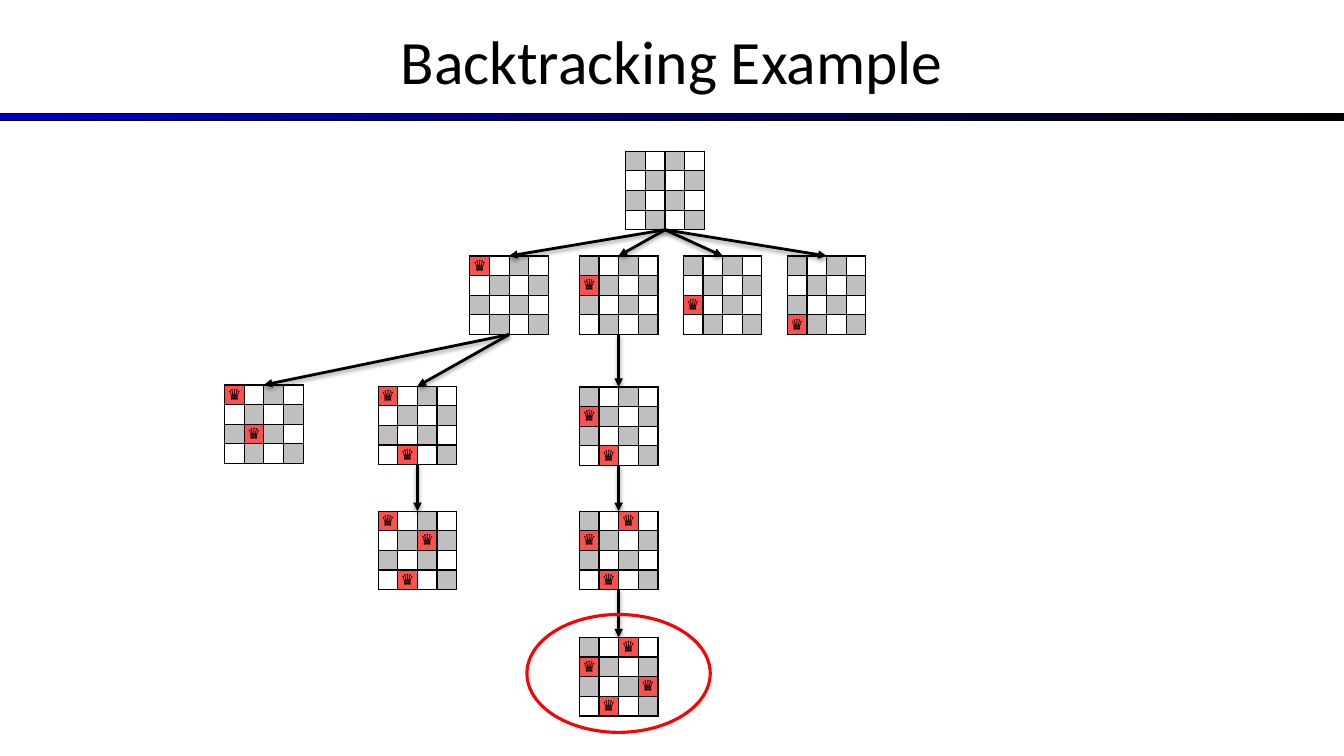
from lxml.etree import SubElement
from pptx import Presentation
from pptx.dml.color import RGBColor
from pptx.enum.shapes import MSO_CONNECTOR, MSO_SHAPE
from pptx.enum.text import MSO_ANCHOR, PP_ALIGN
from pptx.oxml import parse_xml
from pptx.oxml.ns import nsdecls, qn
from pptx.util import Cm, Pt

# Content: queens lists the row of the queen in each column, left to right
TITLE = "Backtracking Example"
QUEEN = "♛"
BOARDS = [  # left (cm), top (cm), queens, number of the parent board
    (15.77, 3.81, (), None),
    (11.84, 6.45, (0,), 0),
    (14.6, 6.45, (1,), 0),
    (17.22, 6.45, (2,), 0),
    (19.84, 6.45, (3,), 0),
    (5.66, 9.7, (0, 2), 1),
    (9.53, 9.73, (0, 3), 1),
    (14.6, 9.75, (1, 3), 2),
    (9.53, 12.88, (0, 3, 1), 6),
    (14.6, 12.88, (1, 3, 0), 7),
    (14.6, 16.06, (1, 3, 0, 2), 9),
]

SIZE = 4
BOARD_SIDE = 1.98
SOLUTION_WIDTH, SOLUTION_HEIGHT = 4.62, 2.97
BOTTOM, TOP = 2, 0

BLACK = RGBColor(0x00, 0x00, 0x00)
WHITE = RGBColor(0xFF, 0xFF, 0xFF)
GREY = RGBColor(0xBF, 0xBF, 0xBF)
QUEEN_RED = RGBColor(0xFF, 0x50, 0x50)
RING_RED = RGBColor(0xFF, 0x00, 0x00)
BLUE = RGBColor(0x00, 0x00, 0xCC)

prs = Presentation()
prs.slide_width, prs.slide_height = Cm(33.87), Cm(19.05)
slide = prs.slides.add_slide(prs.slide_layouts[6])
shapes = slide.shapes


def fill_square(square, has_queen, is_dark):
    """Draw one square with its borders, fill and queen."""
    square.margin_left = square.margin_right = 0
    square.margin_top = square.margin_bottom = 0
    square.vertical_anchor = MSO_ANCHOR.MIDDLE
    properties = square._tc.get_or_add_tcPr()
    for side in ("lnL", "lnR", "lnT", "lnB"):
        properties.append(parse_xml(
            f'<a:{side} {nsdecls("a")} w="{Pt(1)}"><a:solidFill>'
            f'<a:srgbClr val="{BLACK}"/></a:solidFill></a:{side}>'))
    square.fill.solid()
    square.fill.fore_color.rgb = QUEEN_RED if has_queen else GREY if is_dark else WHITE

    paragraph = square.text_frame.paragraphs[0]
    if has_queen:
        paragraph.text = QUEEN
        paragraph.alignment = PP_ALIGN.CENTER
        font = paragraph.runs[0].font
        font.name, font.size, font.bold = "Arial", Pt(11), False
        font.color.rgb = BLACK
    else:
        # A small end mark keeps an empty row at its height
        SubElement(paragraph._p, qn("a:endParaRPr"), sz="1100")


def add_board(left, top, queens):
    frame = shapes.add_table(SIZE, SIZE, Cm(left), Cm(top), Cm(BOARD_SIDE), Cm(BOARD_SIDE))
    board = frame.table
    board.first_row = board.horz_banding = False
    for row in range(SIZE):
        for column in range(SIZE):
            has_queen = column < len(queens) and queens[column] == row
            fill_square(board.cell(row, column), has_queen, (row + column) % 2 == 0)
    return frame


def add_arrow(parent, child):
    arrow = shapes.add_connector(MSO_CONNECTOR.STRAIGHT, 0, 0, 0, 0)
    arrow.begin_connect(parent, BOTTOM)
    arrow.end_connect(child, TOP)
    arrow.line.color.rgb = BLACK
    arrow.line.width = Pt(2)
    SubElement(arrow.line._get_or_add_ln(), qn("a:tailEnd"), type="triangle")
    arrow._element.spPr.append(parse_xml(
        f'<a:effectLst {nsdecls("a")}><a:outerShdw blurRad="{Pt(3.1)}" dist="{Pt(1.6)}" '
        f'dir="5400000" rotWithShape="0"><a:srgbClr val="{BLACK}">'
        '<a:alpha val="38000"/></a:srgbClr></a:outerShdw></a:effectLst>'))


# Rule below the title
rule = shapes.add_shape(MSO_SHAPE.RECTANGLE, 0, Cm(2.87), prs.slide_width, Cm(0.18))
rule.shadow.inherit = False
rule.fill.gradient()
rule.fill.gradient_angle = 0
for stop, color in zip(rule.fill.gradient_stops, (BLUE, BLACK)):
    stop.color.rgb = color
rule.line.color.rgb = BLACK
rule.line.width = Pt(0.75)

# Title
title = shapes.add_textbox(0, Cm(-0.08), prs.slide_width, Cm(3.18)).text_frame
title.word_wrap = True
title.vertical_anchor = MSO_ANCHOR.MIDDLE
title.text = TITLE
heading = title.paragraphs[0]
heading.alignment = PP_ALIGN.CENTER
heading.runs[0].font.name = "Calibri"
heading.runs[0].font.size = Pt(44)
heading.runs[0].font.color.rgb = BLACK

# Search tree
boards = [add_board(left, top, queens) for left, top, queens, _ in BOARDS]
for child, (_, _, _, parent) in zip(boards, BOARDS):
    if parent is not None:
        add_arrow(boards[parent], child)

# Ring around the solution, the last board
left, top, _, _ = BOARDS[-1]
ring = shapes.add_shape(
    MSO_SHAPE.OVAL,
    Cm(left + (BOARD_SIDE - SOLUTION_WIDTH) / 2),
    Cm(top + (BOARD_SIDE - SOLUTION_HEIGHT) / 2 - 0.08),
    Cm(SOLUTION_WIDTH), Cm(SOLUTION_HEIGHT))
ring.shadow.inherit = False
ring.fill.background()
ring.line.color.rgb = RING_RED
ring.line.width = Pt(2.25)

prs.save("out.pptx")
